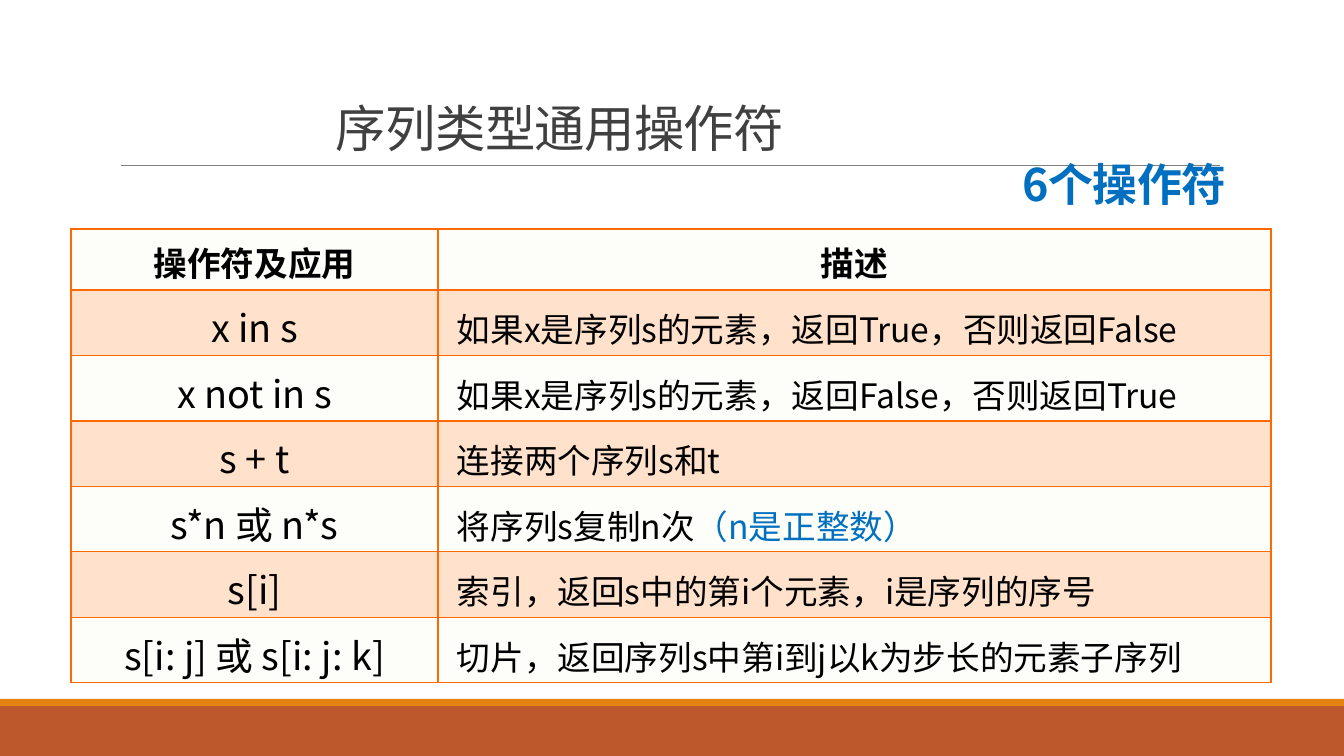
from lxml import etree
from pptx import Presentation
from pptx import util as u
from pptx.dml.color import RGBColor
from pptx.enum import shapes, text
from pptx.oxml import parse_xml
from pptx.oxml.ns import nsdecls, qn

# Content
TITLE = "序列类型通用操作符"
SUBTITLE = "6个操作符"
HEADINGS = ("操作符及应用", "描述")
# operator, description, highlighted note
OPERATORS = [
    ("x in s", "如果x是序列s的元素，返回True，否则返回False", ""),
    ("x not in s", "如果x是序列s的元素，返回False，否则返回True", ""),
    ("s + t", "连接两个序列s和t", ""),
    ("s*n 或 n*s", "将序列s复制n次", "（n是正整数）"),
    ("s[i]", "索引，返回s中的第i个元素，i是序列的序号", ""),
    ("s[i: j] 或 s[i: j: k]", "切片，返回序列s中第i到j以k为步长的元素子序列", ""),
]

# Style
FONT = "Noto Sans CJK SC"
BLACK = RGBColor(0x00, 0x00, 0x00)
TITLE_GREY = RGBColor(0x40, 0x40, 0x40)
RULE_GREY = RGBColor(0x80, 0x80, 0x80)
SUBTITLE_BLUE = RGBColor(0x00, 0x6F, 0xC0)
NOTE_BLUE = RGBColor(0x00, 0x70, 0xC0)
RUST = RGBColor(0xBD, 0x58, 0x2C)
AMBER = RGBColor(0xE4, 0x83, 0x12)
ORANGE = RGBColor(0xFF, 0x69, 0x00)
IVORY = RGBColor(0xFD, 0xFD, 0xF9)

# Layout in px
SLIDE_W, SLIDE_H = 1344, 756
TABLE_X, TABLE_Y, TABLE_H, HEADING_H = 71, 229, 454, 61
COLUMNS = (367, 833)
DESCRIPTION_INDENT = 19


def px(n):
    return u.Emu(round(n * 914400 / 100.8))


def set_font(paragraph, size, color, bold=False, spacing=0):
    font = paragraph.font
    font.name, font.size, font.bold = FONT, u.Pt(size), bold
    font.color.rgb = color
    props = paragraph._p.pPr.find(qn("a:defRPr"))
    props.set("spc", str(spacing))
    etree.SubElement(props, qn("a:ea")).set("typeface", FONT)


def set_margins(target, top):
    target.margin_left = target.margin_right = target.margin_bottom = 0
    target.margin_top = px(top)


def set_borders(cell, top, bottom):
    props = cell._tc.get_or_add_tcPr()
    for index, (side, points) in enumerate((("L", 1), ("R", 1), ("T", top), ("B", bottom))):
        props.insert(index, parse_xml(
            f'<a:ln{side} {nsdecls("a")} w="{u.Pt(points)}"><a:solidFill>'
            f'<a:srgbClr val="{ORANGE}"/></a:solidFill></a:ln{side}>'))


def set_fill(cell, color, alpha=None):
    cell.fill.solid()
    cell.fill.fore_color.rgb = color
    if alpha:
        tint = cell._tc.tcPr.find(".//" + qn("a:solidFill") + "[last()]")
        tint = cell._tc.tcPr.find(qn("a:solidFill")).find(qn("a:srgbClr"))
        etree.SubElement(tint, qn("a:alpha")).set("val", str(alpha * 1000))


def add_bar(slide, y, height, color):
    bar = slide.shapes.add_shape(shapes.MSO_SHAPE.RECTANGLE, 0, px(y), px(SLIDE_W), px(height))
    bar.shadow.inherit = False
    bar.fill.solid()
    bar.fill.fore_color.rgb = color
    bar.line.fill.background()


def add_rule(slide, x1, x2, y):
    rule = slide.shapes.add_connector(
        shapes.MSO_CONNECTOR.STRAIGHT, px(x1), px(y), px(x2), px(y))
    rule.line.color.rgb = RULE_GREY
    rule.line.width = u.Pt(0.5)
    etree.SubElement(rule._element.spPr, qn("a:effectLst"))


def add_operator_table(slide):
    table = slide.shapes.add_table(
        len(OPERATORS) + 1, len(COLUMNS), px(TABLE_X), px(TABLE_Y),
        px(sum(COLUMNS)), px(TABLE_H)).table
    table.first_row = table.horz_banding = False
    for column, width in zip(table.columns, COLUMNS):
        column.width = px(width)

    for r, row in enumerate([HEADINGS] + OPERATORS):
        heading = r == 0
        table.rows[r].height = px(HEADING_H if heading else (TABLE_H - HEADING_H) / len(OPERATORS))
        for c in range(len(COLUMNS)):
            cell = table.cell(r, c)
            described = c == 1 and not heading
            set_margins(cell, 14 if described else 9)
            set_borders(cell, 2.25 if r == 1 else 1, 2.25 if heading else 1)
            if r % 2:
                set_fill(cell, ORANGE, alpha=20)
            else:
                set_fill(cell, IVORY)
            paragraph = cell.text_frame.paragraphs[0]
            paragraph.add_run().text = row[c]
            if described:
                paragraph._p.get_or_add_pPr().set("marL", str(px(DESCRIPTION_INDENT)))
                if row[2]:
                    note = paragraph.add_run()
                    note.text = row[2]
                    note.font.color.rgb = NOTE_BLUE
            else:
                paragraph.alignment = text.PP_ALIGN.CENTER
            set_font(paragraph, 24 if heading or described else 27, BLACK, bold=heading)


def add_title(slide):
    frame = slide.shapes.add_textbox(px(334), px(68), px(892), px(143)).text_frame
    frame.word_wrap = True
    set_margins(frame, 2)
    title, subtitle = frame.paragraphs[0], frame.add_paragraph()
    title.text, subtitle.text = TITLE, SUBTITLE
    title._p.get_or_add_pPr().set("marL", str(px(2)))
    title.line_spacing = u.Pt(62.9)
    subtitle.line_spacing = u.Pt(37.3)
    subtitle.alignment = text.PP_ALIGN.RIGHT
    set_font(title, 36, TITLE_GREY, spacing=-50)
    set_font(subtitle, 32, SUBTITLE_BLUE, bold=True, spacing=-50)


def main():
    deck = Presentation()
    deck.slide_width, deck.slide_height = px(SLIDE_W), px(SLIDE_H)
    slide = deck.slides.add_slide(deck.slide_layouts[6])
    # Footer bars and title rule
    add_bar(slide, 706, 50, RUST)
    add_bar(slide, 699, 7, AMBER)
    add_rule(slide, 121, 1220, 165)
    # Table and title
    add_operator_table(slide)
    add_title(slide)
    deck.save("out.pptx")


if __name__ == "__main__":
    main()
